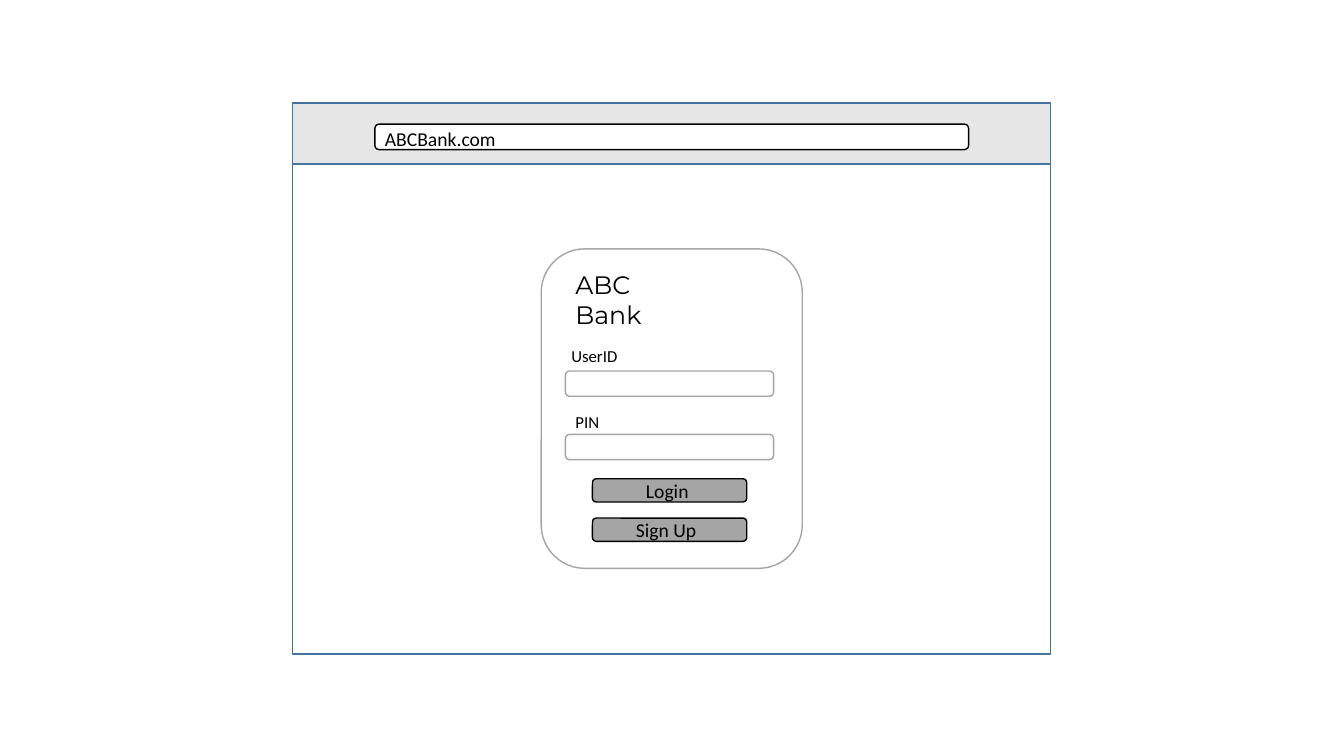
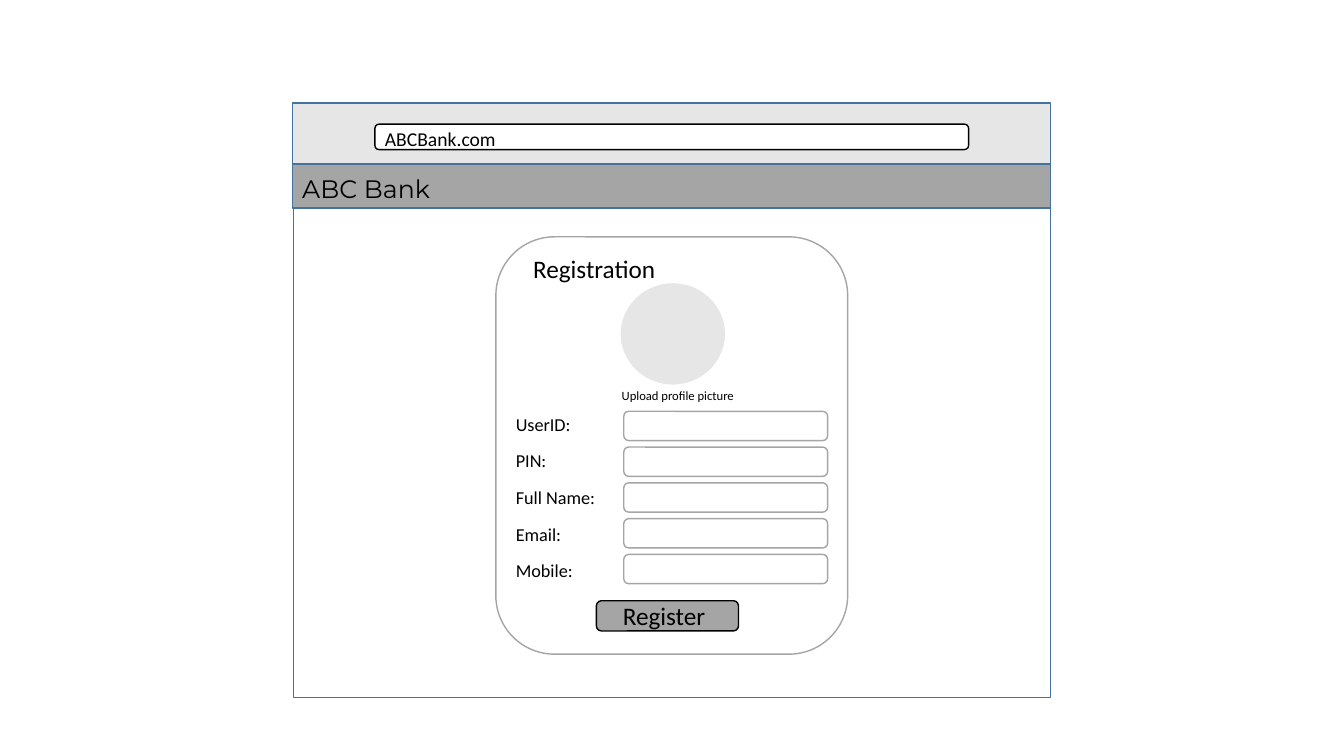
"""Two wireframe pages for a bank site: login and registration."""
from dataclasses import dataclass

from pptx import Presentation
from pptx.dml.color import RGBColor
from pptx.enum.shapes import MSO_SHAPE
from pptx.enum.text import MSO_AUTO_SIZE
from pptx.slide import Slide
from pptx.util import Pt

RECTANGLE = MSO_SHAPE.RECTANGLE
ROUNDED = MSO_SHAPE.ROUNDED_RECTANGLE
OVAL = MSO_SHAPE.OVAL
FIT_TEXT = MSO_AUTO_SIZE.SHAPE_TO_FIT_TEXT

WHITE = RGBColor(0xFF, 0xFF, 0xFF)
BLACK = RGBColor(0x00, 0x00, 0x00)
LIGHT_GRAY = RGBColor(0xE7, 0xE6, 0xE6)
GRAY = RGBColor(0xA5, 0xA5, 0xA5)
BLUE = RGBColor(0x43, 0x73, 0x9E)

BODY_FONT = "Calibri"
BRAND_FONT = "Montserrat"
BLANK_LAYOUT = 6


@dataclass(frozen=True)
class Area:
    """A place on the page, in points."""
    left: float
    top: float
    width: float
    height: float

    def moved_down(self, distance: float) -> "Area":
        """Return the same area further down the page."""
        return Area(self.left, self.top + distance, self.width, self.height)


@dataclass(frozen=True)
class Style:
    """Look of a panel: outline form, fill and line colour."""
    form: MSO_SHAPE
    fill: RGBColor
    line: RGBColor


@dataclass(frozen=True)
class Label:
    """A line of text and its place."""
    text: str
    area: Area
    size: float
    font: str = BODY_FONT


WINDOW = Style(RECTANGLE, WHITE, BLUE)
BROWSER_BAR = Style(RECTANGLE, LIGHT_GRAY, BLUE)
SITE_HEADER = Style(RECTANGLE, GRAY, BLUE)
ADDRESS = Style(ROUNDED, WHITE, BLACK)
FIELD = Style(ROUNDED, WHITE, GRAY)
BUTTON = Style(ROUNDED, GRAY, BLACK)
AVATAR = Style(OVAL, LIGHT_GRAY, WHITE)

LOGIN_FIELDS = (
    (Label("UserID", Area(401, 243.4, 99.4, 21.6), 12), 265),
    (Label("PIN", Area(403.9, 290.9, 99.4, 21.6), 12), 310.3),
)
LOGIN_BUTTONS = (("Login", 454.3), ("Sign Up", 447.1))
LOGIN_BUTTON_STEP = 28.1

REGISTRATION_FIELDS = ("UserID:", "PIN:", "Full Name:", "Email:", "Mobile:")
REGISTRATION_LABEL_STEP = 26.1
REGISTRATION_FIELD_STEP = 25.56


def draw_panel(page: Slide, style: Style, area: Area) -> None:
    """Draw one filled and outlined shape."""
    panel = page.shapes.add_shape(style.form, Pt(area.left), Pt(area.top),
                                  Pt(area.width), Pt(area.height))
    panel.shadow.inherit = False
    panel.fill.solid()
    panel.fill.fore_color.rgb = style.fill
    panel.line.color.rgb = style.line
    panel.line.width = Pt(1)


def draw_label(page: Slide, label: Label) -> None:
    """Write one label in a wrapping text box."""
    area = label.area
    box = page.shapes.add_textbox(Pt(area.left), Pt(area.top),
                                  Pt(area.width), Pt(area.height))
    frame = box.text_frame
    frame.word_wrap = True
    frame.auto_size = FIT_TEXT
    frame.text = label.text
    font = frame.paragraphs[0].runs[0].font
    font.name = label.font
    font.size = Pt(label.size)
    font.color.rgb = BLACK


def add_browser_page(deck: Presentation, window: Area) -> Slide:
    """Add a page with the browser window and its address bar."""
    page = deck.slides.add_slide(deck.slide_layouts[BLANK_LAYOUT])
    draw_panel(page, WINDOW, window)
    draw_panel(page, BROWSER_BAR, Area(208.8, 73.6, 541.4, 43.6))
    draw_panel(page, ADDRESS, Area(267.8, 88.7, 424.1, 18.2))
    draw_label(page, Label("ABCBank.com", Area(267.8, 87.1, 129.6, 24.5), 14))
    return page


def build_login(deck: Presentation) -> None:
    """Build the login page."""
    page = add_browser_page(deck, Area(208.8, 117.2, 541.4, 350))
    draw_panel(page, FIELD, Area(386.6, 177.8, 186.5, 228.2))
    draw_label(page, Label("ABC Bank", Area(403.9, 188.6, 75.6, 51.1), 18,
                           BRAND_FONT))
    for label, field_top in LOGIN_FIELDS:
        draw_label(page, label)
        draw_panel(page, FIELD, Area(403.9, field_top, 148.7, 18))
    for row, (text, text_left) in enumerate(LOGIN_BUTTONS):
        drop = row * LOGIN_BUTTON_STEP
        button = Area(423.2, 342, 110.2, 16.6)
        draw_panel(page, BUTTON, button.moved_down(drop))
        caption = Area(text_left, 338.4, 92.9, 24.5)
        draw_label(page, Label(text, caption.moved_down(drop), 14))


def build_registration(deck: Presentation) -> None:
    """Build the registration page."""
    page = add_browser_page(deck, Area(209.5, 148.3, 540.7, 350))
    draw_panel(page, SITE_HEADER, Area(208.8, 117.2, 541.4, 31.5))
    draw_label(page, Label("ABC Bank", Area(208.8, 120.2, 172.8, 28.8), 18,
                           BRAND_FONT))
    draw_panel(page, FIELD, Area(354.2, 169.2, 251.3, 298.1))
    draw_panel(page, AVATAR, Area(442.8, 201.8, 75.6, 73.4))
    draw_label(page, Label("Registration", Area(373.7, 177.1, 187.9, 28.8), 18))
    draw_label(page, Label("Upload profile picture",
                           Area(437, 273.6, 99.4, 18.2), 9))
    for row, text in enumerate(REGISTRATION_FIELDS):
        caption = Area(361.4, 291.6, 112.3, 23)
        draw_label(page, Label(
            text, caption.moved_down(row * REGISTRATION_LABEL_STEP), 13))
        field = Area(445.6, 293.8, 145.6, 20.9)
        draw_panel(page, FIELD,
                   field.moved_down(row * REGISTRATION_FIELD_STEP))
    draw_panel(page, BUTTON, Area(426, 429.1, 101.5, 21.6))
    draw_label(page, Label("Register", Area(437.8, 425.5, 95.8, 28.8), 18))


def main() -> None:
    """Build and save the deck."""
    deck = Presentation()
    deck.slide_width = Pt(960)
    deck.slide_height = Pt(540)
    build_login(deck)
    build_registration(deck)
    deck.save("out.pptx")


main()
